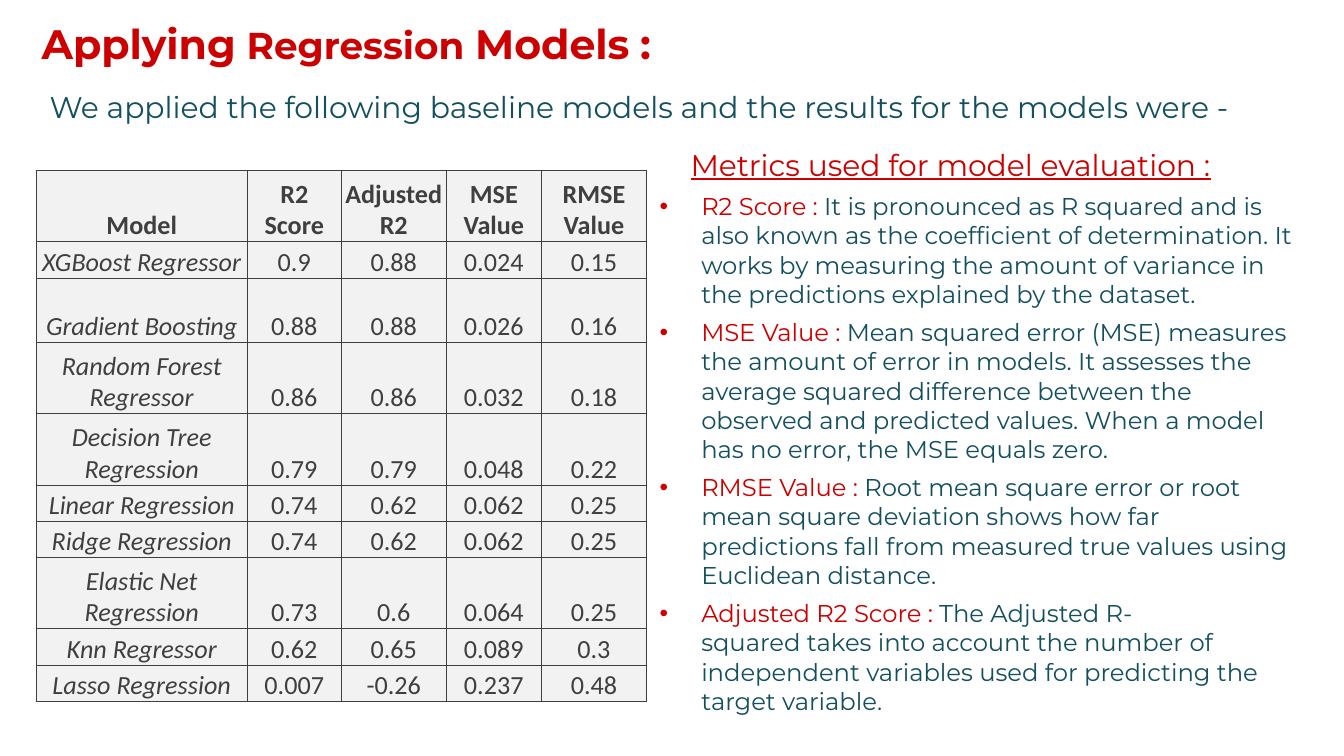
from dataclasses import dataclass

from lxml import etree
from pptx import Presentation
from pptx import util as u
from pptx.dml import color
from pptx.enum import text
from pptx.oxml import ns


@dataclass(frozen=True)
class Theme:
    red: str = "CC0000"
    teal: str = "134F5C"
    ink: str = "3F3F3F"
    pale: str = "F2F2F2"
    font: str = "Montserrat"
    grid_font: str = "Calibri"
    title: int = 22
    small_title: int = 20
    lead: int = 16
    body: int = 13
    cell: int = 14


T = Theme()
HARD = chr(160)  # no-break space
COLS = [1.57, 0.7, 0.78, 0.71, 0.78]
LOW, MID, TALL = 0.27, 0.48, 0.53
HEAD = ["Model", "R2 Score", "Adjusted R2", "MSE Value", "RMSE Value"]
MODELS = [
    (LOW, "XGBoost Regressor", "0.9", "0.88", "0.024", "0.15"),
    (MID, "Gradient Boosting", "0.88", "0.88", "0.026", "0.16"),
    (TALL, "Random Forest Regressor", "0.86", "0.86", "0.032", "0.18"),
    (TALL, "Decision Tree Regression", "0.79", "0.79", "0.048", "0.22"),
    (LOW, "Linear Regression", "0.74", "0.62", "0.062", "0.25"),
    (LOW, "Ridge Regression", "0.74", "0.62", "0.062", "0.25"),
    (TALL, "Elastic Net Regression", "0.73", "0.6", "0.064", "0.25"),
    (LOW, "Knn Regressor", "0.62", "0.65", "0.089", "0.3"),
    (LOW, "Lasso Regression", "0.007", "-0.26", "0.237", "0.48"),
]
METRICS = [
    ("R2 Score : ", "It is pronounced as R squared and is also known as the "
     "coefficient of determination. It works by measuring the amount of "
     "variance in the predictions explained by the dataset."),
    ("MSE Value : ", f"Mean squared error (MSE){HARD}measures the amount of "
     "error in models. It assesses the average squared difference between the "
     "observed and predicted values. When a model has no error, the MSE "
     "equals zero."),
    ("RMSE Value : ", "Root mean square error or root mean square "
     f"deviation{HARD}shows how far predictions fall from measured true "
     "values using Euclidean distance."),
    ("Adjusted R2 Score : ", f"The Adjusted R-squared{HARD}takes into account "
     "the number of independent variables used for predicting the target "
     "variable."),
]


def add_run(para, words, size, tint, font=T.font, bold=False, italic=False):
    run = para.add_run()
    run.text = words
    face = run.font
    face.name, face.size = font, u.Pt(size)
    face.bold, face.italic = bold, italic
    face.color.rgb = color.RGBColor.from_string(tint)
    return run


def add_tint(parent, tint):
    etree.SubElement(parent, ns.qn("a:srgbClr"), val=tint)


def indent(para, left, first=0):
    props = para._p.get_or_add_pPr()
    props.set("marL", str(u.Inches(left)))
    props.set("indent", str(u.Inches(first)))
    return props


def add_box(slide, box):
    frame = slide.shapes.add_textbox(*map(u.Inches, box)).text_frame
    frame.word_wrap = True
    return frame


def add_title(slide, box):
    title = slide.shapes.title
    title.left, title.top, title.width, title.height = map(u.Inches, box)
    frame = title.text_frame
    frame.word_wrap = False
    frame.auto_size = text.MSO_AUTO_SIZE.SHAPE_TO_FIT_TEXT
    frame.vertical_anchor = text.MSO_ANCHOR.TOP
    para = frame.paragraphs[0]
    para.alignment = text.PP_ALIGN.LEFT
    for words, size in [("Applying", T.title), (" Regression ", T.small_title),
                        ("Models", T.title), (" ", T.small_title),
                        (":", T.title)]:
        add_run(para, words, size, T.red, bold=True)


def add_lead(slide, box):
    para = add_box(slide, box).paragraphs[0]
    add_run(para, "We applied the following baseline models and the results "
            "for the models were -", T.lead, T.teal)


def add_metrics(slide, box):
    frame = add_box(slide, box)
    # Underlined heading
    para = frame.paragraphs[0]
    para.space_before = u.Pt(5)
    indent(para, 0.23)
    run = add_run(para, "Metrics used for model evaluation :", T.lead, T.red)
    run.font.underline = True
    # Bulleted definitions
    for name, meaning in METRICS:
        para = frame.add_paragraph()
        para.space_before = u.Pt(5)
        props = indent(para, 0.31, -0.31)
        add_tint(etree.SubElement(props, ns.qn("a:buClr")), T.red)
        etree.SubElement(props, ns.qn("a:buFont"), typeface="Arial")
        etree.SubElement(props, ns.qn("a:buChar"), char="•")
        add_run(para, name, T.body, T.red)
        add_run(para, meaning, T.body, T.teal)


def fill_cell(cell, words, bold, italic):
    cell.margin_left = cell.margin_right = cell.margin_top = u.Inches(0.01)
    cell.margin_bottom = 0
    cell.vertical_anchor = text.MSO_ANCHOR.BOTTOM
    # Borders come before the fill in the cell properties
    props = cell._tc.get_or_add_tcPr()
    for side in ("lnL", "lnR", "lnT", "lnB"):
        line = etree.SubElement(props, ns.qn("a:" + side), w=str(u.Pt(0.5)))
        add_tint(etree.SubElement(line, ns.qn("a:solidFill")), T.ink)
    cell.fill.solid()
    cell.fill.fore_color.rgb = color.RGBColor.from_string(T.pale)
    para = cell.text_frame.paragraphs[0]
    para.alignment = text.PP_ALIGN.CENTER
    para.space_before = u.Pt(0.5)
    add_run(para, words, T.cell, T.ink, T.grid_font, bold, italic)


def add_scores(slide, box):
    rows = [(TALL, *HEAD), *MODELS]
    table = slide.shapes.add_table(
        len(rows), len(COLS), *map(u.Inches, box)).table
    table.first_row = table.horz_banding = False
    for col, width in zip(table.columns, COLS):
        col.width = u.Inches(width)
    for r, (height, *words) in enumerate(rows):
        table.rows[r].height = u.Inches(height)
        for c, word in enumerate(words):
            fill_cell(table.cell(r, c), word, r == 0, r > 0 and c == 0)


def main():
    deck = Presentation()
    # Widescreen, 16 to 9
    deck.slide_width = u.Inches(10)
    deck.slide_height = deck.slide_width * 9 // 16
    slide = deck.slides.add_slide(deck.slide_layouts.get_by_name("Title Only"))
    add_title(slide, (0.21, 0.09, 4.78, 0.47))
    add_lead(slide, (0.27, 0.61, 9.38, 0.37))
    add_metrics(slide, (4.81, 1.04, 4.96, 4.37))
    add_scores(slide, (0.27, 1.27, 4.54, 3.95))
    deck.save("out.pptx")


if __name__ == "__main__":
    main()
